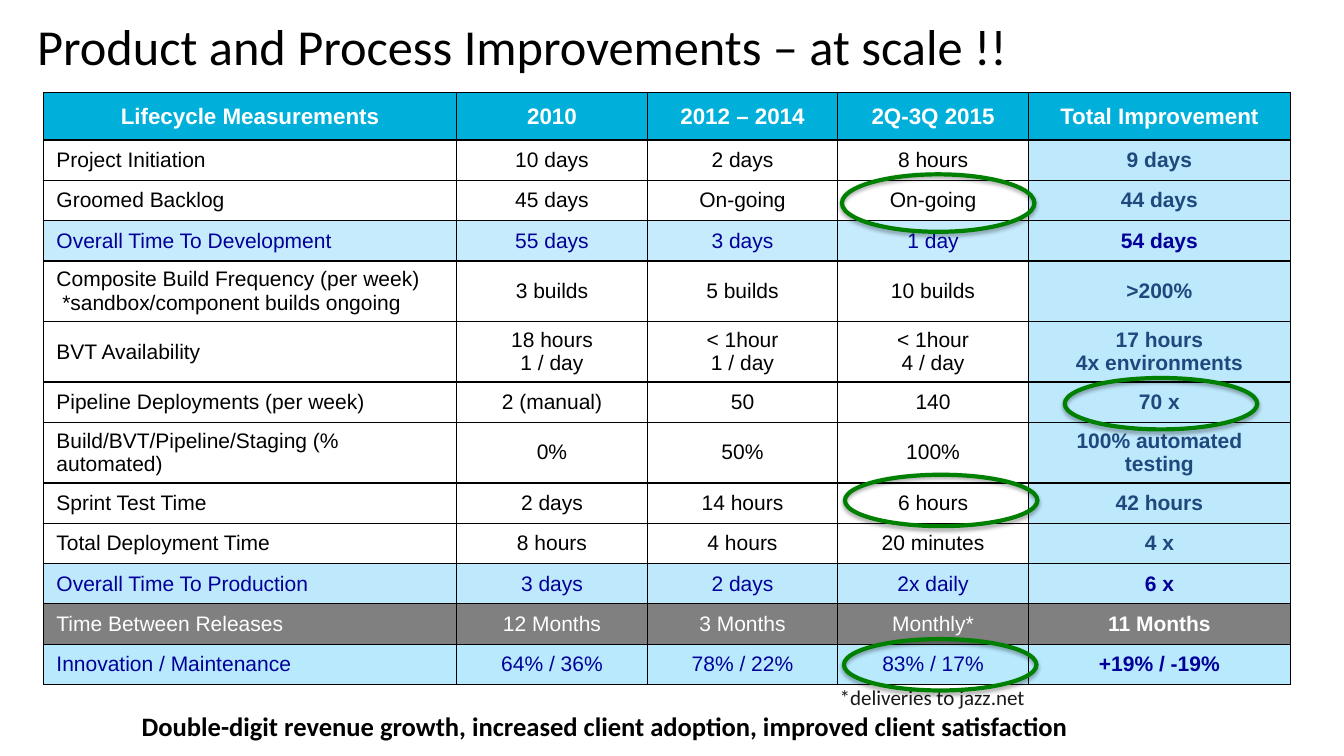
from lxml.etree import SubElement
from pptx import Presentation
from pptx.dml.color import RGBColor
from pptx.enum.shapes import MSO_SHAPE
from pptx.enum.text import MSO_ANCHOR, PP_ALIGN
from pptx.oxml import parse_xml
from pptx.oxml.ns import nsdecls, qn
from pptx.util import Inches, Pt

HUES = {"black": "000000", "white": "FFFFFF", "teal": "00B0DA", "sky": "2AB6F8",
        "pale": "B8E9FD", "gray": "808080", "navy": "1F497D", "blue": "000099",
        "green": "008000", "ink": "191919"}
TITLE = "Product and Process Improvements – at scale !!"
CLOSING = "Double-digit revenue growth, increased client adoption, improved client satisfaction"
NOTE = "*deliveries to jazz.net"
ROWS = [
    ("head", "Lifecycle Measurements", "2010", "2012 – 2014", "2Q-3Q 2015", "Total Improvement"),
    ("plain", "Project Initiation", "10 days", "2 days", "8 hours", "9 days"),
    ("plain", "Groomed Backlog", "45 days", "On-going", "On-going", "44 days"),
    ("start", "Overall Time To Development", "55 days", "3 days", "1 day", "54 days"),
    ("plain", "Composite Build Frequency (per week)\n *sandbox/component builds ongoing",
     "3 builds", "5 builds", "10 builds", ">200%"),
    ("plain", "BVT Availability", "18 hours\n1 / day", "< 1hour\n1 / day",
     "< 1hour\n4 / day", "17 hours\n4x environments"),
    ("plain", "Pipeline Deployments (per week)", "2 (manual)", "50", "140", "70 x"),
    ("plain", "Build/BVT/Pipeline/Staging (% automated)", "0%", "50%", "100%",
     "100% automated testing"),
    ("plain", "Sprint Test Time", "2 days", "14 hours", "6 hours", "42 hours"),
    ("plain", "Total Deployment Time", "8 hours", "4 hours", "20 minutes", "4 x"),
    ("total", "Overall Time To Production", "3 days", "2 days", "2x daily", "6 x"),
    ("gray", "Time Between Releases", "12 Months", "3 Months", "Monthly*", "11 Months"),
    ("last", "Innovation / Maintenance", "64% / 36%", "78% / 22%", "83% / 17%", "+19% / -19%"),
]
STYLES = {
    "head": (("teal", 100), ("teal", 100), "white", "white"),
    "plain": (("white", 100), ("sky", 30), "black", "navy"),
    "start": (("sky", 27), ("sky", 30), "blue", "blue"),
    "total": (("sky", 30), ("sky", 30), "blue", "blue"),
    "gray": (("gray", 100), ("gray", 100), "white", "white"),
    "last": (("pale", 100), ("pale", 100), "blue", "blue"),
}
WIDTHS = [4.1, 1.89, 1.89, 1.89, 2.6]
TALL = {0: 0.47, 4: 0.6, 5: 0.6, 7: 0.6}
RINGS = [(8.35, 1.73, 0.57), (10.56, 3.75, 0.51), (8.38, 4.71, 0.51), (8.37, 6.34, 0.51)]


def hue(name):
    """Return the named colour."""
    return RGBColor.from_string(HUES[name])


def write(frame, text, size, face, color, bold=False, align=PP_ALIGN.LEFT):
    """Fill a text frame with evenly styled paragraphs."""
    frame.text = text
    for para in frame.paragraphs:
        para.alignment = align
        for run in para.runs:
            font = run.font
            font.size, font.name, font.bold = Pt(size), face, bold
            font.color.rgb = hue(color)


def add_text(slide, box, text, size, color, pad=(0.1, 0.05), wrap=True, **look):
    """Add a text box and return its frame."""
    frame = slide.shapes.add_textbox(*map(Inches, box)).text_frame
    frame.word_wrap = wrap
    frame.margin_left = frame.margin_right = Inches(pad[0])
    frame.margin_top = frame.margin_bottom = Inches(pad[1])
    write(frame, text, size, "Calibri", color, **look)
    return frame


def paint(cell, color, alpha):
    """Fill a cell and draw its four borders."""
    cell.fill.solid()
    cell.fill.fore_color.rgb = hue(color)
    props = cell._tc.get_or_add_tcPr()
    if alpha < 100:
        tint = props.find(".//" + qn("a:srgbClr"))
        SubElement(tint, qn("a:alpha"), val=str(alpha * 1000))
    for i, side in enumerate("LRTB"):
        props.insert(i, parse_xml(
            f'<a:ln{side} {nsdecls("a")} w="12700"><a:solidFill>'
            f'<a:srgbClr val="{HUES["black"]}"/></a:solidFill></a:ln{side}>'))


def add_grid(slide):
    """Add the table of measurements."""
    highs = [TALL.get(i, 0.4) for i in range(len(ROWS))]
    box = (0.43, 0.92, sum(WIDTHS), sum(highs))
    grid = slide.shapes.add_table(len(ROWS), len(WIDTHS), *map(Inches, box)).table
    for col, width in zip(grid.columns, WIDTHS):
        col.width = Inches(width)
    for r, (kind, *texts) in enumerate(ROWS):
        grid.rows[r].height = Inches(highs[r])
        base, end, ink, strong = STYLES[kind]
        head = kind == "head"
        for c, text in enumerate(texts):
            cell = grid.cell(r, c)
            final = c == len(texts) - 1
            cell.vertical_anchor = MSO_ANCHOR.MIDDLE
            cell.margin_left = cell.margin_right = Inches(0.13)
            cell.margin_top = cell.margin_bottom = Inches(0.07 if kind == "last" else 0.05)
            align = PP_ALIGN.CENTER if head or c else PP_ALIGN.LEFT
            write(cell.text_frame, text, 16 if head else 15, "Arial",
                  strong if final else ink, head or final, align)
            paint(cell, *(end if final else base))


def add_ring(slide, left, top, high):
    """Add a green ring with a soft shadow."""
    ring = slide.shapes.add_shape(MSO_SHAPE.OVAL, *map(Inches, (left, top, 1.91, high)))
    ring.fill.background()
    ring.line.color.rgb = hue("green")
    ring.line.width = Pt(3)
    ring.shadow.inherit = False
    ring._element.spPr.find(qn("a:effectLst")).append(parse_xml(
        f'<a:outerShdw {nsdecls("a")} blurRad="{Pt(3.1)}" dist="{Pt(1.8)}" dir="5400000" '
        f'rotWithShape="0"><a:srgbClr val="{HUES["black"]}"><a:alpha val="35000"/>'
        '</a:srgbClr></a:outerShdw>'))


def main():
    """Build and save the slide."""
    deck = Presentation()
    deck.slide_width, deck.slide_height = Inches(13.33), Inches(7.5)
    slide = deck.slides.add_slide(deck.slide_layouts[6])
    title = add_text(slide, (0.27, 0, 12.67, 0.9), TITLE, 36, "black")
    title.vertical_anchor = MSO_ANCHOR.MIDDLE
    add_grid(slide)
    add_text(slide, (1.2, 6.97, 9.59, 0.45), CLOSING, 19, "black", (0.13, 0.07), False,
             bold=True, align=PP_ALIGN.CENTER)
    add_text(slide, (8.23, 6.74, 3.88, 0.35), NOTE, 15, "ink")
    for ring in RINGS:
        add_ring(slide, *ring)
    deck.save("out.pptx")


if __name__ == "__main__":
    main()
